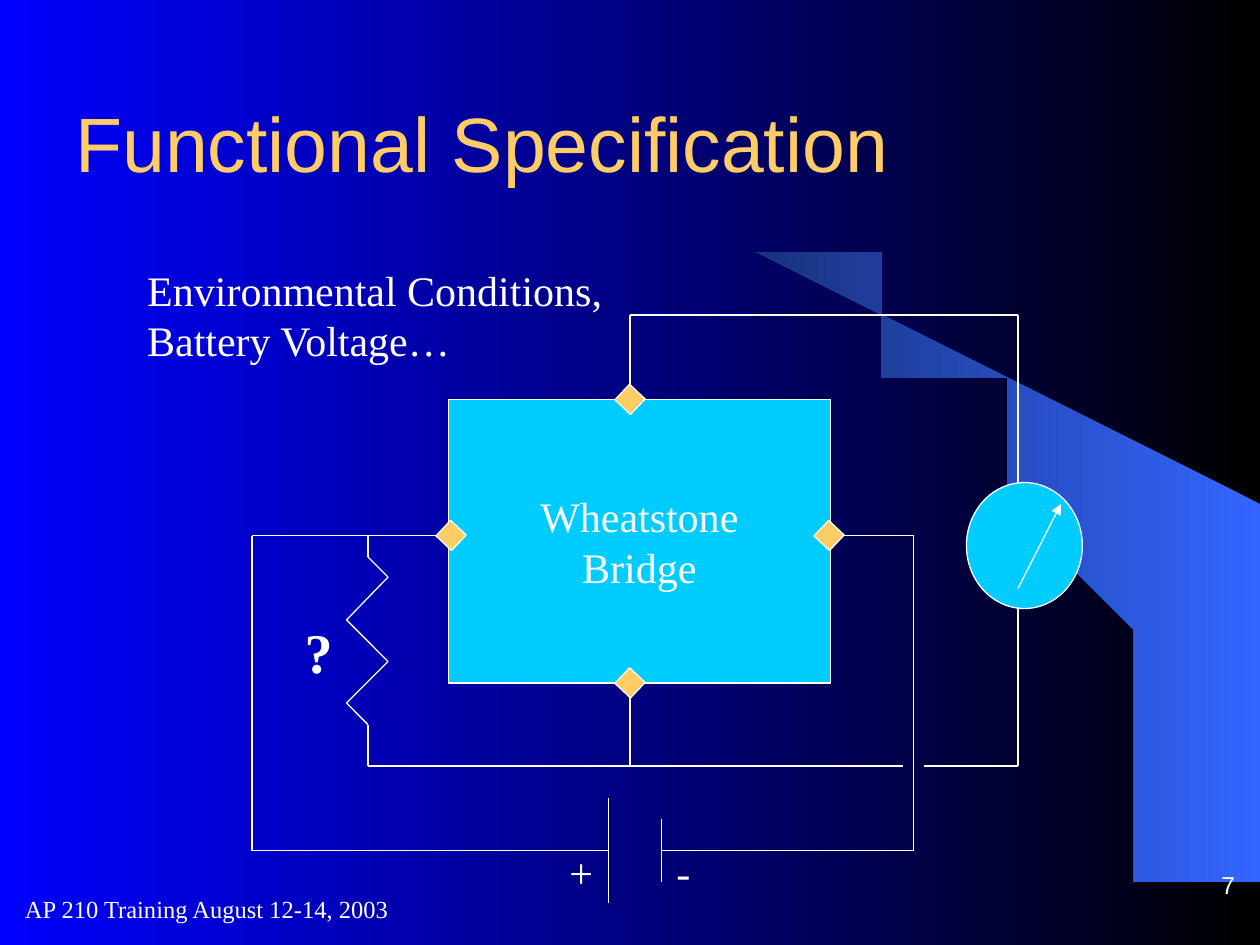
import pptx
import pptx.util
import pptx.dml.color
import pptx.enum.shapes
import pptx.enum.text
import pptx.oxml.ns

Inches = pptx.util.Inches
Pt = pptx.util.Pt
RGBColor = pptx.dml.color.RGBColor
Kind = pptx.enum.shapes.MSO_SHAPE
Align = pptx.enum.text.PP_ALIGN
Anchor = pptx.enum.text.MSO_ANCHOR
Fit = pptx.enum.text.MSO_AUTO_SIZE
qn = pptx.oxml.ns.qn

BLACK = RGBColor(0x00, 0x00, 0x00)
BLUE = RGBColor(0x00, 0x00, 0xFF)
WHITE = RGBColor(0xFF, 0xFF, 0xFF)
GOLD = RGBColor(0xFF, 0xCC, 0x66)
CYAN = RGBColor(0x00, 0xCC, 0xFF)
SKY = RGBColor(0x33, 0x66, 0xFF)
NAVY = RGBColor(0x19, 0x32, 0x7E)
SERIF = "Times New Roman"
SANS = "Arial"

CRESCENT = [
    (9.2, 7.48), (9.99, 7.49), (9.99, 4.23), (5.89, 1.73), (6.24, 1.99),
    (6.53, 2.22), (6.85, 2.5), (7.16, 2.8), (7.62, 3.3), (8.03, 3.84),
    (8.32, 4.31), (8.58, 4.79), (8.78, 5.28), (8.93, 5.72), (9.03, 6.09),
    (9.13, 6.56), (9.17, 6.96),
]
WIRES = [
    [(5, 3.17), (5, 2.5), (8.08, 2.5), (8.08, 3.92)],
    [(8.08, 4.67), (8.08, 6.08), (7.33, 6.08)],
    [(7.17, 6.08), (5, 6.08), (5, 5.42)],
    [(3.5, 4.25), (2, 4.25), (2, 6.75), (4.83, 6.75)],
    [(6.58, 4.25), (7.25, 4.25), (7.25, 6.75), (5.25, 6.75)],
    [(4.83, 6.33), (4.83, 7.17)],
    [(5.25, 6.5), (5.25, 7)],
]
RESISTOR = [
    (2.92, 4.25), (2.92, 4.42), (3.08, 4.58), (2.75, 4.92), (3.08, 5.25),
    (2.75, 5.58), (2.92, 5.75), (2.92, 6.08), (5, 6.08),
]
PADS = [(5, 5.42), (6.58, 4.25), (5, 3.17), (3.58, 4.25)]


class Board:
    def __init__(self, slide):
        self.slide = slide
        self.items = slide.shapes
        self.width = Pt(0.75)

    def blend(self, fill, first, last):
        """Fill with a gradient that runs from right to left."""
        fill.gradient()
        fill.gradient_angle = 180
        for stop, color in zip(fill.gradient_stops, (first, last)):
            stop.color.rgb = color

    def curve(self, points, first, last):
        pen = self.items.build_freeform(*points[0], scale=Inches(1))
        pen.add_line_segments(points[1:])
        shape = pen.convert_to_shape()
        shape.shadow.inherit = False
        shape.line.fill.background()
        self.blend(shape.fill, first, last)

    def letter(self, frame, text, size, font=SERIF, color=WHITE,
               bold=False, align=Align.LEFT, anchor=Anchor.TOP):
        """Put styled text into a frame."""
        frame.vertical_anchor = anchor
        frame.text = text
        for para in frame.paragraphs:
            para.alignment = align
            para.font.size = Pt(size)
            para.font.name = font
            para.font.bold = bold
            para.font.color.rgb = color

    def label(self, box, text, size, wrap=False, **style):
        frame = self.items.add_textbox(*map(Inches, box)).text_frame
        frame.word_wrap = wrap
        frame.auto_size = Fit.NONE if wrap else Fit.SHAPE_TO_FIT_TEXT
        self.letter(frame, text, size, **style)
        return frame

    def shape(self, kind, box, color):
        shape = self.items.add_shape(kind, *map(Inches, box))
        shape.shadow.inherit = False
        shape.fill.solid()
        shape.fill.fore_color.rgb = color
        shape.line.color.rgb = WHITE
        shape.line.width = self.width
        return shape

    def wire(self, points, arrow=False):
        """Join the points in turn with straight lines."""
        for start, end in zip(points, points[1:]):
            link = self.items.add_connector(
                pptx.enum.shapes.MSO_CONNECTOR.STRAIGHT,
                *map(Inches, start + end))
            link.line.color.rgb = WHITE
            link.line.width = self.width
            props = link.element.spPr
            if arrow:
                line = props.find(qn("a:ln"))
                line.append(line.makeelement(
                    qn("a:tailEnd"), {"type": "triangle"}))
            props.append(props.makeelement(qn("a:effectLst")))


def main():
    deck = pptx.Presentation()
    deck.slide_width, deck.slide_height = Inches(10), Inches(7.5)
    board = Board(deck.slides.add_slide(deck.slide_layouts[6]))
    board.blend(board.slide.background.fill, BLACK, BLUE)
    board.curve(CRESCENT, SKY, NAVY)
    board.label((0.5, 0.5, 9, 1.25), "Functional Specification", 44, wrap=True,
                font=SANS, color=GOLD, anchor=Anchor.MIDDLE)

    for points in WIRES + [RESISTOR]:
        board.wire(points)

    bridge = board.shape(Kind.RECTANGLE, (3.56, 3.17, 3.03, 2.25), CYAN)
    board.letter(bridge.text_frame, "Wheatstone\nBridge", 24,
                 align=Align.CENTER, anchor=Anchor.MIDDLE)
    side = 0.17
    for x, y in PADS:
        box = (x - side / 2, y - side / 2, side, side)
        board.shape(Kind.RECTANGLE, box, GOLD).rotation = 43.3

    board.shape(Kind.OVAL, (7.67, 3.83, 0.92, 1), CYAN)
    board.wire([(8.08, 4.67), (8.42, 4)], arrow=True)

    board.label((4.42, 6.67, 0.39, 0.5), "+", 24)
    board.label((5.27, 6.67, 0.31, 0.5), "-", 24)
    board.label((2.32, 4.85, 0.42, 0.64), "?", 32, bold=True)
    board.label((1.07, 2.05, 3.81, 0.9),
                "Environmental Conditions,\nBattery Voltage…", 24)
    board.label((0.1, 6.96, 4.67, 0.5), "AP 210 Training August 12-14, 2003",
                14, wrap=True, anchor=Anchor.MIDDLE)
    number = board.label((7.85, 6.72, 2.05, 0.42), "7", 14, wrap=True,
                         font=SANS, align=Align.RIGHT, anchor=Anchor.BOTTOM)
    number.margin_top = number.margin_bottom = 0
    deck.save("out.pptx")


if __name__ == "__main__":
    main()
